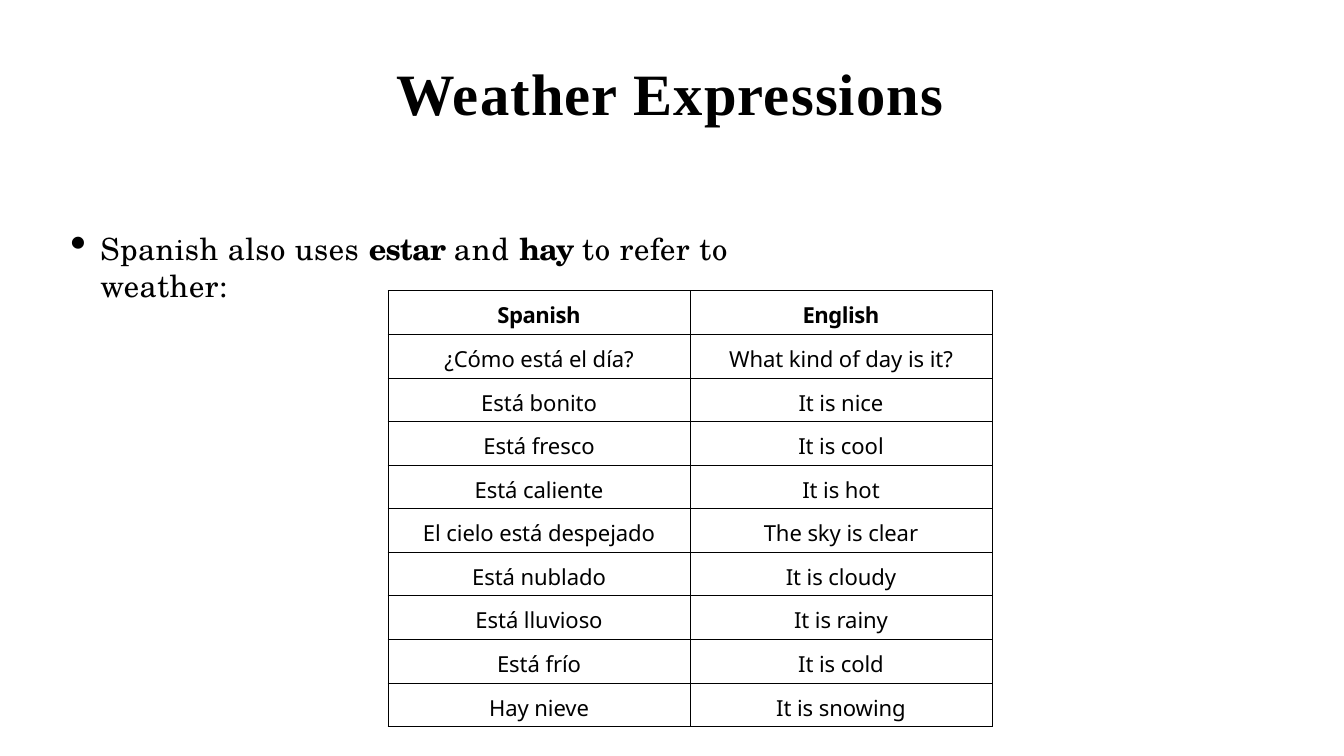
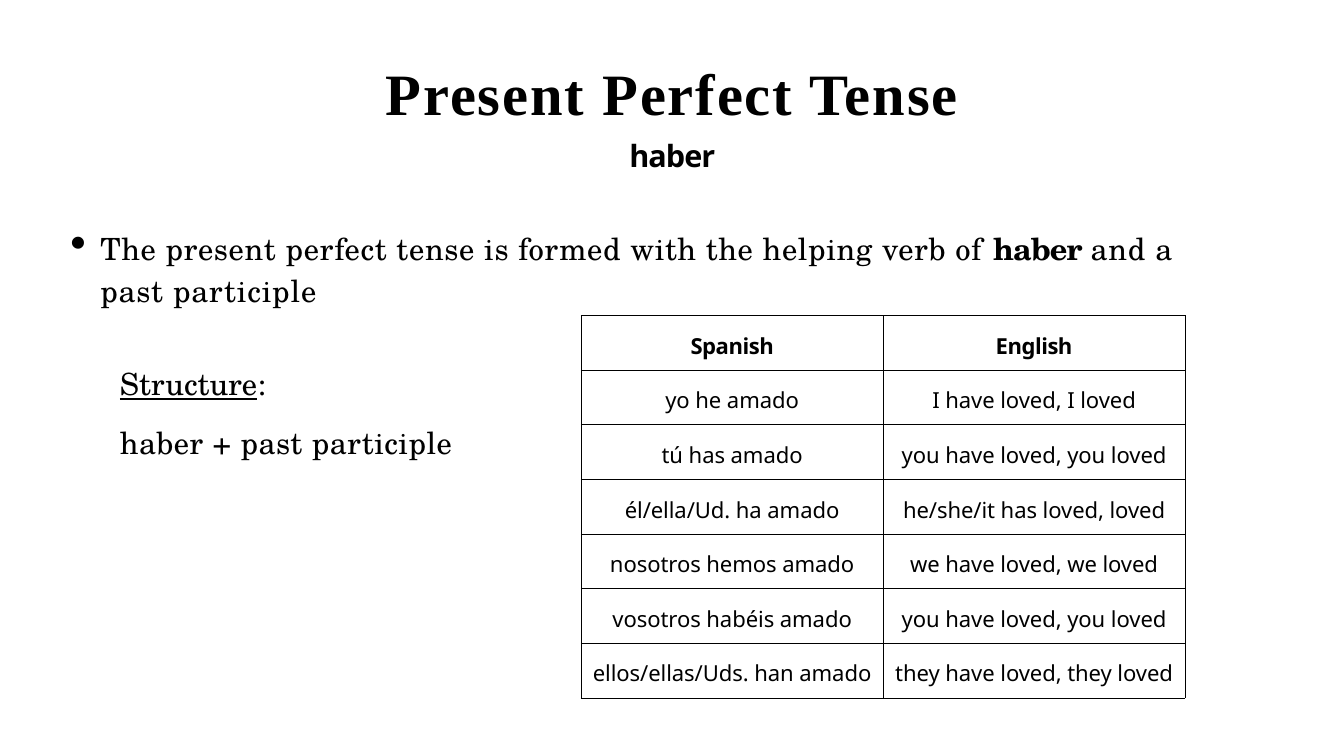
from lxml.etree import SubElement
from pptx import Presentation
from pptx.dml.color import RGBColor
from pptx.enum.text import MSO_ANCHOR, MSO_AUTO_SIZE, PP_ALIGN
from pptx.oxml.ns import qn
from pptx.util import Pt

COLORS = {"ink": "000000", "paper": "FFFFFF"}
TITLE_FONT = "Times New Roman"
BODY_FONT = "TeX Gyre Schola"
TABLE_FONT = "Noto Sans"
COLUMN_WIDTH = 355.7

WEATHER = [
    ("Spanish", "English"),
    ("¿Cómo está el día?", "What kind of day is it?"),
    ("Está bonito", "It is nice"),
    ("Está fresco", "It is cool"),
    ("Está caliente", "It is hot"),
    ("El cielo está despejado", "The sky is clear"),
    ("Está nublado", "It is cloudy"),
    ("Está lluvioso", "It is rainy"),
    ("Está frío", "It is cold"),
    ("Hay nieve", "It is snowing"),
]
CONJUGATION = [
    ("Spanish", "English"),
    ("yo he amado", "I have loved, I loved"),
    ("tú has amado", "you have loved, you loved"),
    ("él/ella/Ud. ha amado", "he/she/it has loved, loved"),
    ("nosotros hemos amado", "we have loved, we loved"),
    ("vosotros habéis amado", "you have loved, you loved"),
    ("ellos/ellas/Uds. han amado", "they have loved, they loved"),
]


def style_run(run, font, size, bold=False, tracking=0.0, underline=False):
    run.font.name = font
    run.font.size = Pt(size)
    run.font.bold = bold
    run.font.underline = underline
    run.font.color.rgb = RGBColor.from_string(COLORS["ink"])
    run._r.get_or_add_rPr().set("spc", str(round(tracking * 100)))


def place(placeholder, box, inset_top):
    left, top, width, height = map(Pt, box)
    placeholder.left, placeholder.top = left, top
    placeholder.width, placeholder.height = width, height
    frame = placeholder.text_frame
    frame.word_wrap = True
    frame.auto_size = MSO_AUTO_SIZE.SHAPE_TO_FIT_TEXT
    frame.vertical_anchor = MSO_ANCHOR.TOP
    frame.margin_left = frame.margin_right = frame.margin_bottom = 0
    frame.margin_top = Pt(inset_top)
    return frame


def add_title(slide, box, heading, tracking, inset_top=1.2, align=PP_ALIGN.LEFT, verb=None):
    frame = place(slide.shapes.title, box, inset_top)
    frame.text = heading
    style_run(frame.paragraphs[0].runs[0], TITLE_FONT, 69, True, tracking)
    if verb:
        subtitle = frame.add_paragraph()
        subtitle.text = verb
        subtitle.space_before = Pt(10.9)
        style_run(subtitle.runs[0], TABLE_FONT, 36, True, -1.1)
    for paragraph in frame.paragraphs:
        paragraph.alignment = align


def set_indent(paragraph, margin, bullet=False):
    properties = paragraph._p.get_or_add_pPr()
    properties.set("marL", str(Pt(margin)))
    properties.set("indent", str(Pt(-35.3 if bullet else 0)))
    if bullet:
        SubElement(properties, qn("a:buSzPct")).set("val", "151000")
        SubElement(properties, qn("a:buFontTx"))
        SubElement(properties, qn("a:buChar")).set("char", "•")
    else:
        SubElement(properties, qn("a:buNone"))


def write_phrases(paragraph, phrases, space_before, line_spacing=1.0):
    paragraph.space_before = Pt(space_before)
    paragraph.line_spacing = line_spacing
    for words, emphasis, tracking in phrases:
        run = paragraph.add_run()
        run.text = words
        style_run(run, BODY_FONT, 36, emphasis == "bold", tracking, emphasis == "underline")


def add_rule(slide, box, phrases, inset_top=1.2, line_spacing=1.0, structure=()):
    frame = place(slide.placeholders[1], box, inset_top)
    rule = frame.paragraphs[0]
    write_phrases(rule, phrases, 0, line_spacing)
    set_indent(rule, 36.7, bullet=True)
    for line, space_before in structure:
        paragraph = frame.add_paragraph()
        write_phrases(paragraph, line, space_before)
        set_indent(paragraph, 59.8)


def add_borders(cell):
    properties = cell._tc.get_or_add_tcPr()
    for side in ("lnL", "lnR", "lnT", "lnB"):
        border = SubElement(properties, qn(f"a:{side}"))
        border.set("w", str(Pt(1)))
        fill = SubElement(border, qn("a:solidFill"))
        SubElement(fill, qn("a:srgbClr")).set("val", COLORS["ink"])


def add_translations(slide, left, top, row_height, inset_top, entries):
    columns = len(entries[0])
    table = slide.shapes.add_table(
        len(entries), columns, Pt(left), Pt(top),
        Pt(COLUMN_WIDTH * columns), Pt(row_height * len(entries))).table
    table.horz_banding = False
    for row, entry in enumerate(entries):
        table.rows[row].height = Pt(row_height)
        for column, phrase in enumerate(entry):
            cell = table.cell(row, column)
            cell.margin_left = cell.margin_right = cell.margin_bottom = 0
            cell.margin_top = Pt(inset_top)
            add_borders(cell)
            cell.fill.solid()
            cell.fill.fore_color.rgb = RGBColor.from_string(COLORS["paper"])
            cell.text_frame.text = phrase
            paragraph = cell.text_frame.paragraphs[0]
            paragraph.alignment = PP_ALIGN.CENTER
            header = row == 0
            style_run(paragraph.runs[0], TABLE_FONT, 26, header, -0.6 if header else -0.1)


def build_weather(slide):
    add_title(slide, (467, 66, 650, 85), "Weather Expressions", 1.4)
    add_rule(slide, (81.4, 270, 889, 45), [
        ("Spanish also uses ", None, 0.65),
        ("estar ", "bold", -0.9),
        ("and ", None, 1.1),
        ("hay ", "bold", -1.3),
        ("to refer to weather:", None, 0.8),
    ])
    add_translations(slide, 457.2, 342.5, 51.35, 11.2, WEATHER)


def build_present_perfect(slide):
    add_title(slide, (350, 46, 884, 160), "Present Perfect Tense", 2.2,
              21.6, PP_ALIGN.CENTER, "haber")
    add_translations(slide, 684.7, 371.5, 64.4, 17.8, CONJUGATION)
    add_rule(slide, (81.4, 264.5, 1317.6, 276), [
        ("The present perfect tense is formed with the helping verb of ", None, 0.8),
        ("haber ", "bold", -1),
        ("and a past participle", None, 1),
    ], 0.9, 1.13, [
        ([("Structure", "underline", 0.1), (":", None, 0.1)], 67),
        ([("haber + past participle", None, 0.6)], 25.6),
    ])


def main():
    deck = Presentation()
    deck.slide_width, deck.slide_height = Pt(1583.3), Pt(890.6)
    for build in (build_weather, build_present_perfect):
        build(deck.slides.add_slide(deck.slide_layouts[1]))
    deck.save("out.pptx")


if __name__ == "__main__":
    main()
